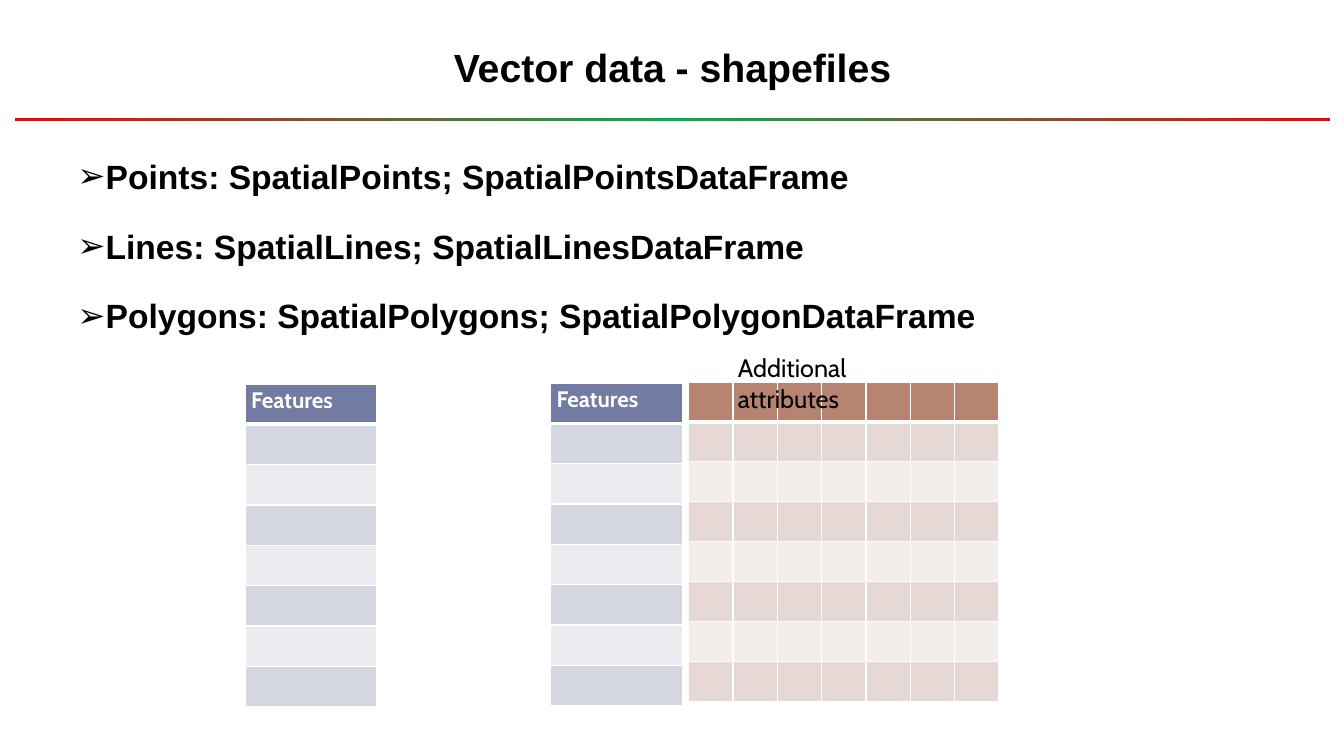
import copy
import pptx
import pptx.util
import pptx.dml.color
import pptx.enum.shapes
import pptx.enum.text
import pptx.oxml
import pptx.oxml.ns

Inches, Pt = pptx.util.Inches, pptx.util.Pt
qn = pptx.oxml.ns.qn
COLORS = {
    "text": "000000", "line": "FFFFFF", "red": "FF0000", "green": "00B050",
    "blue": ("727CA3", "D5D7E0", "EBECF0"),
    "brown": ("B88472", "E6D9D5", "F3EDEB"),
}
ROWS = 8
BULLETS = (
    "Points: SpatialPoints; SpatialPointsDataFrame",
    "Lines: SpatialLines; SpatialLinesDataFrame",
    "Polygons: SpatialPolygons; SpatialPolygonDataFrame",
)


def rgb(value):
    """Turn a hex string into a colour."""
    return pptx.dml.color.RGBColor.from_string(value)


def add_run(p, text, color, **fmt):
    """Add a formatted run to a paragraph."""
    r = p.add_run()
    r.text = text
    r.font.color.rgb = rgb(color)
    for name, value in fmt.items():
        setattr(r.font, name, value)


def add_textbox(s, box):
    """Add an empty wrapping text box and return its frame."""
    tf = s.shapes.add_textbox(*map(Inches, box)).text_frame
    tf.word_wrap = True
    return tf


def add_title(s, box, text):
    """Place the centred slide title."""
    sp = s.shapes.title
    for name, value in zip(("left", "top", "width", "height"), box):
        setattr(sp, name, Inches(value))
    tf = sp.text_frame
    tf.vertical_anchor = pptx.enum.text.MSO_ANCHOR.MIDDLE
    p = tf.paragraphs[0]
    p.alignment = pptx.enum.text.PP_ALIGN.CENTER
    add_run(p, text, COLORS["text"], name="Arial", size=Pt(28), bold=True)


def add_rule(s, box):
    """Draw the thin gradient bar under the title."""
    sp = s.shapes.add_shape(pptx.enum.shapes.MSO_SHAPE.RECTANGLE, *map(Inches, box))
    sp.shadow.inherit = False
    sp.line.fill.background()
    sp.fill.gradient()
    sp.fill.gradient_angle = 0
    stops = sp._element.spPr.find(".//" + qn("a:gsLst"))
    stops.insert(1, copy.deepcopy(stops[0]))
    for i, (stop, name) in enumerate(zip(sp.fill.gradient_stops, ("red", "green", "red"))):
        stop.color.rgb = rgb(COLORS[name])
        stop.position = i / 2


def add_bullets(s, box, items):
    """Write the bold list with arrow bullets."""
    tf = add_textbox(s, box)
    for i, text in enumerate(items):
        p = tf.add_paragraph() if i else tf.paragraphs[0]
        p.line_spacing = 1.5
        p.space_before = Pt(6.5)
        add_run(p, text, COLORS["text"], name="Arial", size=Pt(24), bold=True)
        pPr = p._p.get_or_add_pPr()
        pPr.set("marL", str(Inches(0.28)))
        pPr.set("indent", str(-Inches(0.28)))
        for tag, key, value in (("a:buFont", "typeface", "Arial"), ("a:buChar", "char", "➢")):
            pptx.oxml.ns
            bullet = pptx.oxml.parse_xml(f'<{tag} {pptx.oxml.ns.nsdecls("a")} {key}="{value}"/>')
            pPr.append(bullet)


def set_borders(cell, top, bottom):
    """Give a cell white borders, with its own top and bottom widths."""
    tcPr = cell._tc.get_or_add_tcPr()
    for i, (side, width) in enumerate(zip("LRTB", (1, 1, top, bottom))):
        tcPr.insert(i, pptx.oxml.parse_xml(
            f'<a:ln{side} {pptx.oxml.ns.nsdecls("a")} w="{Pt(width)}"><a:solidFill>'
            f'<a:srgbClr val="{COLORS["line"]}"/></a:solidFill></a:ln{side}>'))


def add_grid(s, box, cols, palette, heading=""):
    """Add a banded table with a heading row."""
    table = s.shapes.add_table(ROWS, cols, *map(Inches, box)).table
    table.first_row = table.horz_banding = False
    header, *bands = COLORS[palette]
    margins = {"margin_left": 0.06, "margin_right": 0.06, "margin_top": 0.03, "margin_bottom": 0.03}
    for row in range(ROWS):
        for col in range(cols):
            cell = table.cell(row, col)
            for name, value in margins.items():
                setattr(cell, name, Inches(value))
            cell.fill.solid()
            cell.fill.fore_color.rgb = rgb(bands[(row - 1) % 2] if row else header)
            set_borders(cell, 3 if row == 1 else 1, 3 if row == 0 else 1)
    if heading:
        add_run(table.cell(0, 0).text_frame.paragraphs[0], heading, COLORS["line"],
                name="Cabin", size=Pt(16), bold=True)


def add_label(s, box, text):
    """Write the plain label over the attribute table."""
    p = add_textbox(s, box).paragraphs[0]
    add_run(p, text, COLORS["text"], name="Cabin", size=Pt(18))


def main():
    """Build the slide and save it."""
    prs = pptx.Presentation()
    prs.slide_width, prs.slide_height = Inches(13.33), Inches(7.5)
    s = prs.slides.add_slide(prs.slide_layouts[5])
    add_rule(s, (0.15, 1.17, 13.04, 0.03))
    add_title(s, (0.67, 0.13, 12, 1.07), "Vector data - shapefiles")
    add_bullets(s, (0.67, 1.3, 12, 2.05), BULLETS)
    add_grid(s, (6.83, 3.79, 3.08, 3.17), 7, "brown")
    add_label(s, (7.22, 3.45, 2.3, 0.4), "Additional attributes")
    for left, top in ((2.43, 3.81), (5.46, 3.8)):
        add_grid(s, (left, top, 1.31, 3.2), 1, "blue", "Features")
    prs.save("out.pptx")


if __name__ == "__main__":
    main()
